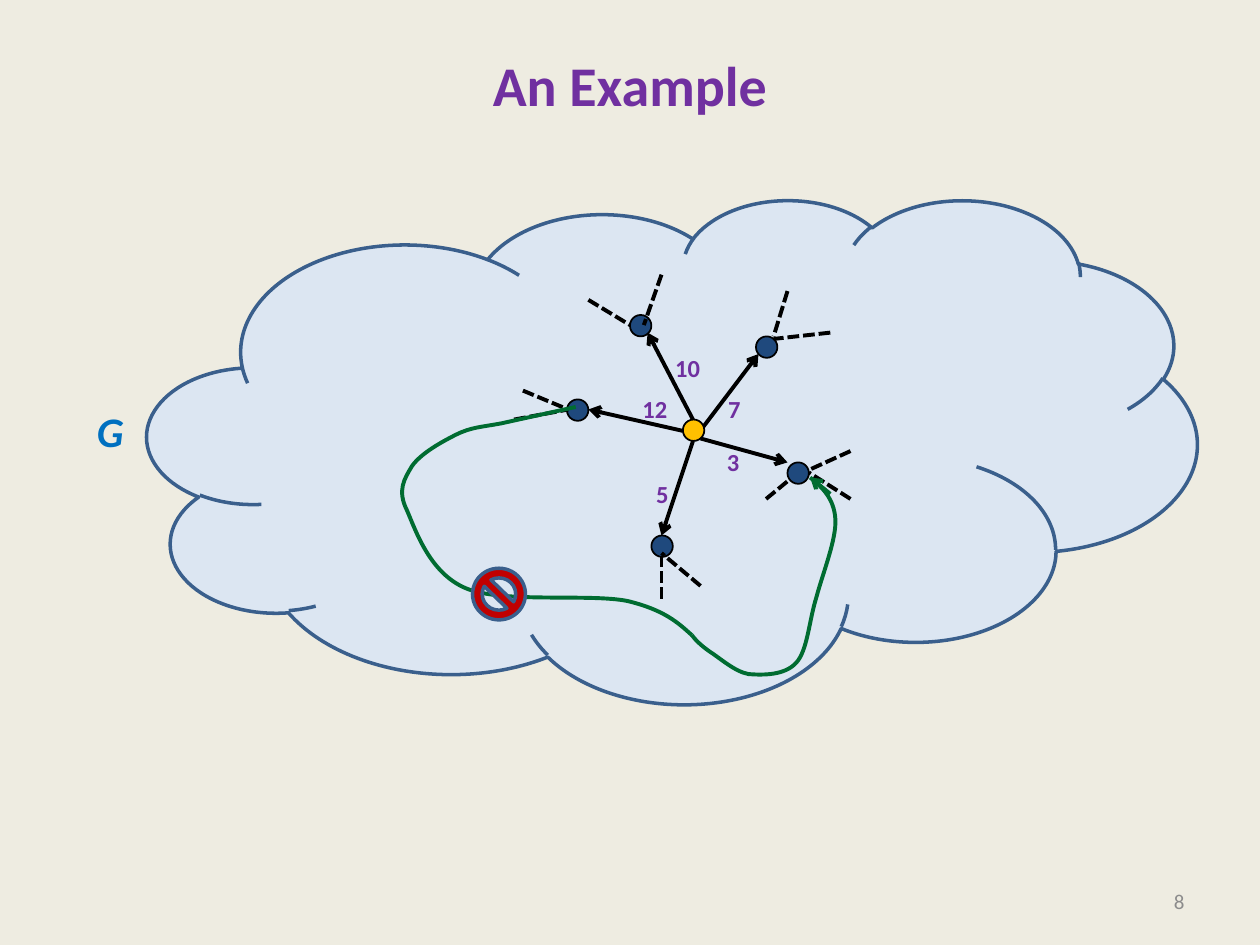
from lxml.etree import SubElement
from pptx import Presentation
from pptx.dml.color import RGBColor
from pptx.enum.dml import MSO_LINE
from pptx.enum.shapes import MSO_CONNECTOR, MSO_SHAPE
from pptx.enum.text import MSO_ANCHOR, PP_ALIGN
from pptx.oxml.ns import qn
from pptx.util import Inches, Pt

CREAM = RGBColor(0xEE, 0xEC, 0xE1)
PURPLE = RGBColor(0x70, 0x30, 0xA0)
GRAY = RGBColor(0x8C, 0x8C, 0x8C)
PALE_BLUE = RGBColor(0xDC, 0xE6, 0xF2)
STEEL = RGBColor(0x3A, 0x5F, 0x8C)
NAVY = RGBColor(0x1F, 0x49, 0x7D)
BLUE = RGBColor(0x00, 0x70, 0xC0)
GOLD = RGBColor(0xFF, 0xC0, 0x00)
GREEN = RGBColor(0x00, 0x6C, 0x31)
RED = RGBColor(0xC0, 0x00, 0x00)
BLACK = RGBColor(0, 0, 0)

NODE_SIZE = 0.17
LINE_WIDTH = 2.25

# Network, relative to its box: corners of the hub and the nodes
HUB = (1.42, 1.33)
NODES = [(2, 0.67), (2.25, 1.67), (1.17, 2.25), (0.5, 1.17), (1, 0.5)]
# Spokes: weight, start, end, label corner
SPOKES = [
    ("12", (1.42, 1.42), (0.67, 1.25), (1, 1.08)),
    ("5", (1.5, 1.5), (1.25, 2.25), (1.11, 1.75)),
    ("3", (1.56, 1.48), (2.25, 1.67), (1.67, 1.5)),
    ("7", (1.58, 1.39), (2.02, 0.81), (1.68, 1.08)),
    ("10", (1.5, 1.33), (1.14, 0.64), (1.26, 0.75)),
]
# Dashed edges that lead on into the rest of the graph
STUBS = [
    ((2.59, 0.64), (2.14, 0.69)), ((2.25, 0.31), (2.14, 0.67)),
    ((2.75, 1.96), (2.42, 1.75)), ((2.75, 1.58), (2.42, 1.73)),
    ((1.25, 2.75), (1.25, 2.42)), ((1.56, 2.65), (1.25, 2.39)),
    ((0.08, 1.33), (0.51, 1.25)), ((0.15, 1.1), (0.51, 1.25)),
    ((0.67, 0.38), (1, 0.58)), ((1.25, 0.18), (1.11, 0.58)),
]
# Detour, relative to its box: a curve is two control points and an end,
# a straight step is an end alone
DETOUR_START = (1.57, 0.23)
DETOUR_MIDDLE = (2.49, 2.04)
FIRST_HALF = [
    ((0.98, 0.36),),
    ((0.82, 0.39), (0.74, 0.39), (0.62, 0.45)),
    ((0.5, 0.51), (0.34, 0.6), (0.27, 0.7)),
    ((0.21, 0.8), (0.15, 0.89), (0.23, 1.05)),
    ((0.3, 1.21), (0.41, 1.55), (0.7, 1.67)),
    ((0.99, 1.79), (1.68, 1.71), (1.98, 1.77)),
    ((2.27, 1.84), (2.38, 1.94), DETOUR_MIDDLE),
]
SECOND_HALF = [
    ((2.52, 2.08), (2.56, 2.12), (2.63, 2.17)),
    ((2.71, 2.22), (2.83, 2.33), (2.94, 2.35)),
    ((3.06, 2.36), (3.23, 2.36), (3.32, 2.26)),
    ((3.41, 2.16), (3.42, 1.93), (3.48, 1.74)),
    ((3.53, 1.55), (3.64, 1.28), (3.63, 1.12)),
    ((3.62, 0.96), (3.53, 0.87), (3.43, 0.79)),
]


def add_text(page, left, top, width, height, text, size, color, bold=False,
             italic=False, align=PP_ALIGN.LEFT, anchor=MSO_ANCHOR.TOP, wrap=False):
    box = page.shapes.add_textbox(Inches(left), Inches(top), Inches(width), Inches(height))
    frame = box.text_frame
    frame.word_wrap = wrap
    frame.vertical_anchor = anchor
    para = frame.paragraphs[0]
    para.alignment = align
    span = para.add_run()
    span.text = text
    span.font.name = "Calibri"
    span.font.size = Pt(size)
    span.font.bold = bold
    span.font.italic = italic
    span.font.color.rgb = color
    return box


def add_figure(page, kind, left, top, width, height, fill, line, weight):
    figure = page.shapes.add_shape(kind, Inches(left), Inches(top), Inches(width), Inches(height))
    figure.shadow.inherit = False
    figure.fill.solid()
    figure.fill.fore_color.rgb = fill
    figure.line.color.rgb = line
    figure.line.width = Pt(weight)


def add_line(page, left, top, start, end, color, arrow=False, dashed=False):
    line = page.shapes.add_connector(
        MSO_CONNECTOR.STRAIGHT,
        Inches(left + start[0]), Inches(top + start[1]),
        Inches(left + end[0]), Inches(top + end[1]))
    line.line.color.rgb = color
    line.line.width = Pt(LINE_WIDTH)
    if dashed:
        line.line.dash_style = MSO_LINE.SQUARE_DOT
    if arrow:
        SubElement(line.line._get_or_add_ln(), qn("a:tailEnd"), type="arrow")
    SubElement(line._element.spPr, qn("a:effectLst"))


def add_node(page, left, top, corner, color):
    add_figure(page, MSO_SHAPE.OVAL, left + corner[0], top + corner[1],
               NODE_SIZE, NODE_SIZE, color, BLACK, 1)


def add_curve(page, left, top, start, steps):
    def place(point):
        return Inches(left + point[0]), Inches(top + point[1])

    builder = page.shapes.build_freeform(*place(start))
    builder.add_line_segments([place(step[-1]) for step in steps], close=False)
    curve = builder.convert_to_shape()
    curve.shadow.inherit = False
    curve.fill.background()
    curve.line.color.rgb = GREEN
    curve.line.width = Pt(LINE_WIDTH)
    # Bend the segments that have control points
    segments = list(curve._element.iter(qn("a:lnTo")))
    for segment, step in zip(segments, steps):
        if len(step) == 3:
            segment.tag = qn("a:cubicBezTo")
            segment.remove(segment[0])
            for x, y in map(place, step):
                SubElement(segment, qn("a:pt"), x=str(x - curve.left), y=str(y - curve.top))


def add_title(page, left, top, width, height):
    title = add_text(page, left, top, width, height, "An Example", 32, PURPLE,
                     bold=True, align=PP_ALIGN.CENTER, wrap=True)
    title.text_frame.margin_top = Inches(0.1)


def add_network(page, left, top):
    for _, start, end, _ in SPOKES:
        add_line(page, left, top, start, end, BLACK, arrow=True)
    add_node(page, left, top, HUB, GOLD)
    for corner in NODES:
        add_node(page, left, top, corner, NAVY)
    for start, end in STUBS:
        add_line(page, left, top, start, end, BLACK, dashed=True)
    for weight, _, _, (x, y) in SPOKES:
        add_text(page, left + x, top + y, 0.2 + 0.1 * len(weight), 0.34,
                 weight, 14, PURPLE, bold=True)


def add_detour(page, left, top):
    add_curve(page, left, top, DETOUR_START, FIRST_HALF)
    add_curve(page, left, top, DETOUR_MIDDLE, SECOND_HALF)
    # Arrowhead, last dashed edge and blocked sign
    add_line(page, left, top, (3.59, 0.92), (3.43, 0.79), GREEN, arrow=True)
    add_line(page, left, top, (3.08, 0.96), (3.25, 0.82), BLACK, dashed=True)
    add_figure(page, MSO_SHAPE.NO_SYMBOL, left + 0.75, top + 1.51, 0.42, 0.41, RED, STEEL, 2)


def main():
    deck = Presentation()
    deck.slide_width, deck.slide_height = Inches(10), Inches(7.5)
    page = deck.slides.add_slide(deck.slide_layouts[6])
    page.background.fill.solid()
    page.background.fill.fore_color.rgb = CREAM

    add_title(page, 0.5, 0.3, 9, 1.25)
    # Slide number
    add_text(page, 7.17, 6.95, 2.33, 0.4, "8", 12, GRAY, align=PP_ALIGN.RIGHT,
             anchor=MSO_ANCHOR.MIDDLE, wrap=True)
    # Graph G
    add_figure(page, MSO_SHAPE.CLOUD, 1.17, 1.58, 8.33, 4, PALE_BLUE, STEEL, 2)
    add_network(page, 4, 2)
    add_text(page, 0.67, 3.17, 0.42, 0.5, "G", 24, BLUE, bold=True, italic=True)
    add_detour(page, 3, 3)
    deck.save("out.pptx")


if __name__ == "__main__":
    main()
